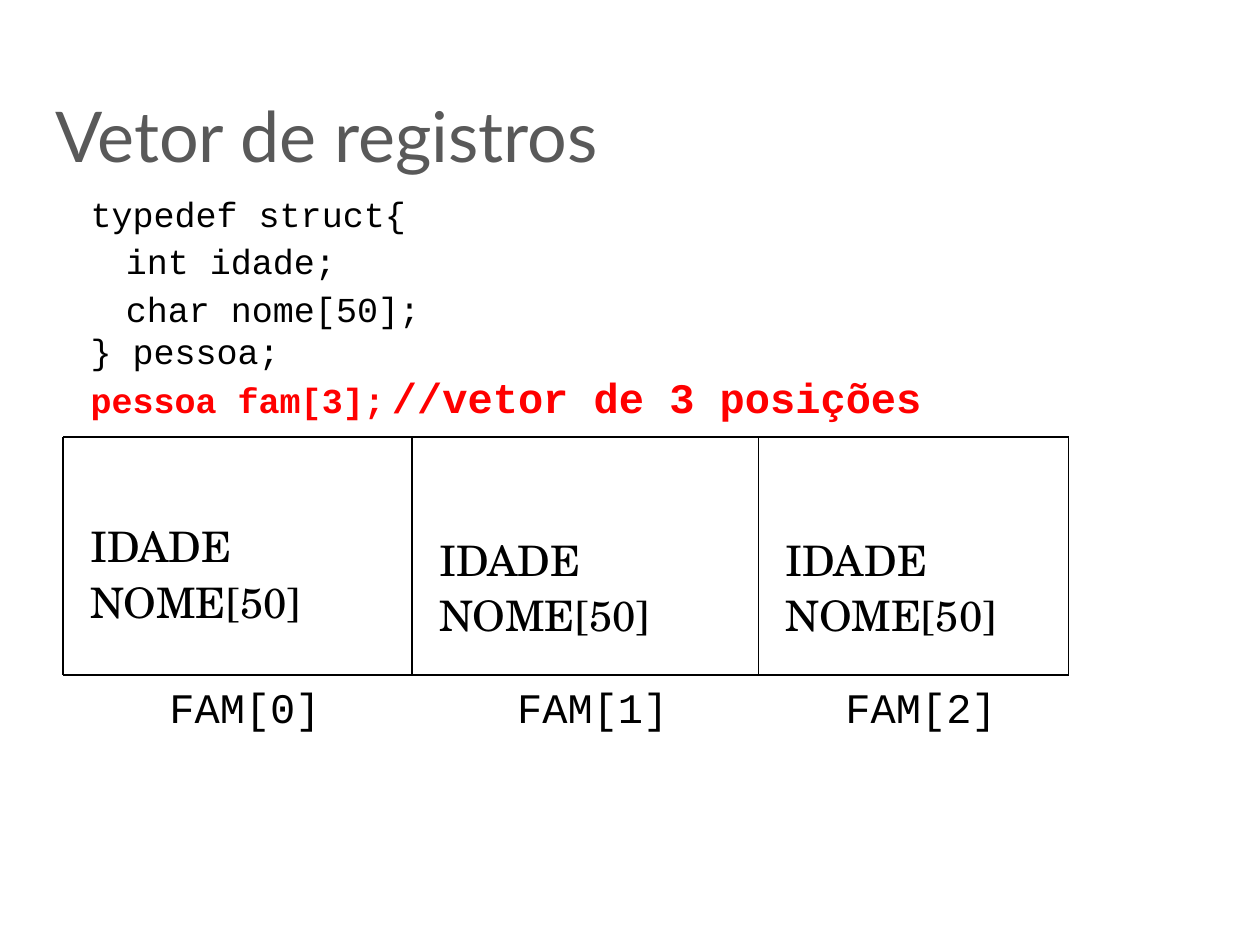
import pptx
import pptx.dml.color
import pptx.enum.shapes
import pptx.enum.text
import pptx.oxml
import pptx.util

Pt = pptx.util.Pt
ALIGN = pptx.enum.text.PP_ALIGN
ANCHOR = pptx.enum.text.MSO_ANCHOR
COLORS = {"title": "595959", "text": "000000", "accent": "FF0000", "line": "000000"}
CODE_FONT = "Courier New"
FIELD_FONT = "TeX Gyre Schola"
INDENT = 8.64


def style_font(font, name, size, color, bold=None):
    font.name = name
    font.size = Pt(size)
    font.bold = bold
    font.color.rgb = pptx.dml.color.RGBColor.from_string(COLORS[color])


def indent_para(para, left, first=0):
    props = para._p.get_or_add_pPr()
    props.set("marL", str(Pt(left)))
    props.set("indent", str(Pt(first)))


def add_text(group, box, lines, font, size, align=ALIGN.LEFT, indents=None):
    """Add a text box and return its paragraphs, spaced 3 pt apart."""
    frame = group.shapes.add_textbox(*map(Pt, box)).text_frame
    frame.word_wrap = True
    frame.text = "\n".join(lines)
    for index, para in enumerate(frame.paragraphs):
        para.alignment = align
        para.space_before = Pt(3 if index else 0)
        indent_para(para, indents[index] if indents else INDENT)
        style_font(para.font, font, size, "text")
    return frame.paragraphs


def add_line(group, x1, y1, x2, y2):
    line = group.shapes.add_connector(
        pptx.enum.shapes.MSO_CONNECTOR.STRAIGHT, Pt(x1), Pt(y1), Pt(x2), Pt(y2))
    line.line.width = Pt(1)
    line.line.color.rgb = pptx.dml.color.RGBColor.from_string(COLORS["line"])
    line._element.spPr.append(pptx.oxml.parse_xml(
        '<a:effectLst xmlns:a="http://schemas.openxmlformats.org/drawingml/2006/main"/>'))


def write_title(page, box):
    title = page.shapes.title
    title.left, title.top, title.width, title.height = map(Pt, box)
    frame = title.text_frame
    frame.text = "Vetor de registros"
    frame.vertical_anchor = ANCHOR.MIDDLE
    para = frame.paragraphs[0]
    para.alignment = ALIGN.LEFT
    style_font(para.font, "Lato", 40, "title")


def write_code(group, box):
    lines = ["typedef struct{", "int idade;", "char nome[50];"]
    paras = add_text(group, box, lines + [""], CODE_FONT, 20,
                     indents=[INDENT, 28.8, 28.8, INDENT])
    # The closing brace and the declaration share one paragraph
    closing = paras[-1]
    closing.space_before = Pt(0)
    style_font(closing.add_run().font, CODE_FONT, 20, "text")
    closing.runs[0].text = "} pessoa;"
    closing.add_line_break()
    for text, font, size in (("pessoa fam[3];", CODE_FONT, 20),
                             (" ", "Arial", 14),
                             ("//vetor de 3 posições", CODE_FONT, 24)):
        span = closing.add_run()
        span.text = text
        style_font(span.font, font, size, "accent", True)


def draw_vector(group, box, widths, field_tops):
    left, top, width, height = box
    right, bottom = left + width, top + height
    edges = [left + sum(widths[:index]) for index in range(len(widths) + 1)]

    # Element names below, fields inside each cell
    for index, cell_width in enumerate(widths):
        add_text(group, (edges[index], bottom, cell_width, 136.8),
                 [f"FAM[{index}]"], CODE_FONT, 24, ALIGN.CENTER)
        add_text(group, (edges[index], field_tops[index], 187.2, 90),
                 ["IDADE", "NOME[50]"], FIELD_FONT, 24)

    # Cell borders
    for x in edges:
        add_line(group, x, top, x, bottom)
    for y in (top, bottom):
        add_line(group, left, y, right, y)


def main():
    deck = pptx.Presentation()
    deck.slide_width, deck.slide_height = Pt(720), Pt(540)
    page = deck.slides.add_slide(deck.slide_layouts[5])
    write_title(page, (24.5, 46.8, 671, 59.8))
    group = page.shapes.add_group_shape()
    write_code(group, (36, 106.5, 562.3, 135.4))
    draw_vector(group, (36, 249.8, 574.6, 136.1), (199.4, 198, 177.2),
                (293.8, 301.7, 301.7))
    deck.save("out.pptx")


if __name__ == "__main__":
    main()
